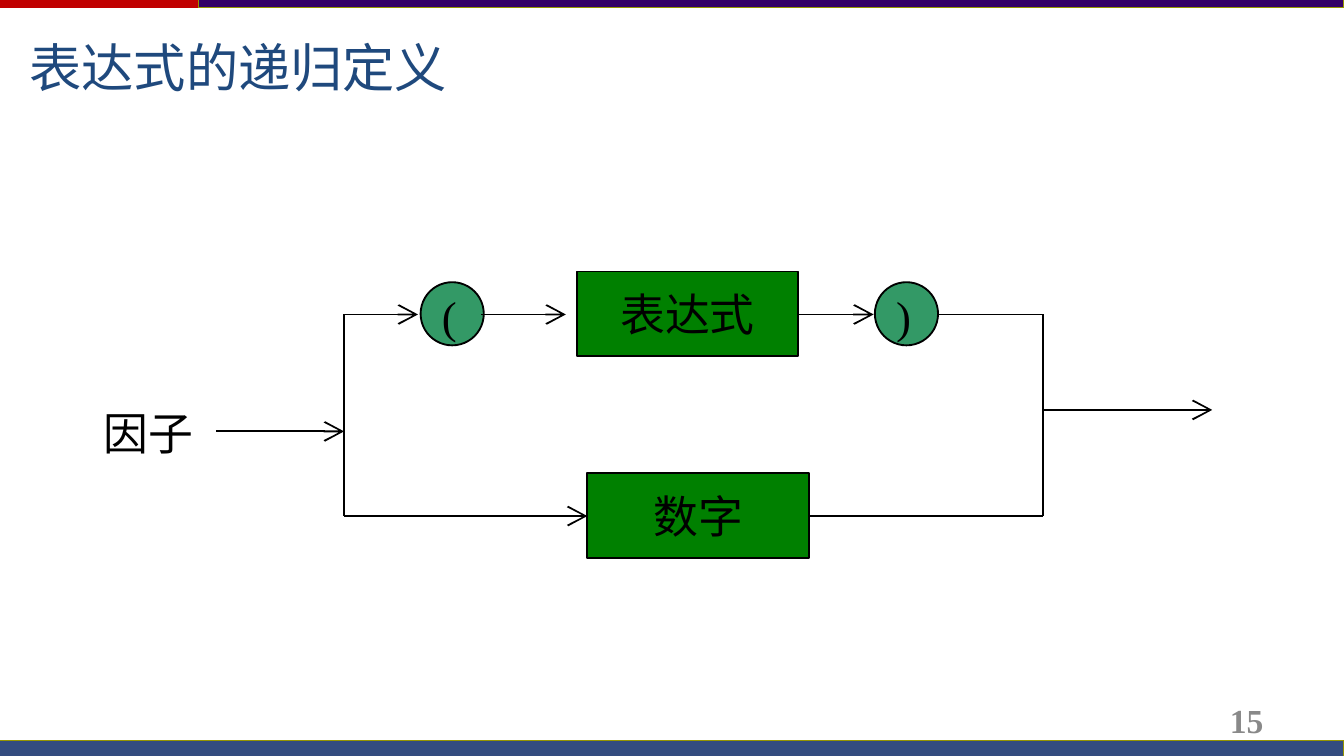
from pptx import Presentation
from pptx.dml.color import RGBColor
from pptx.enum.shapes import MSO_CONNECTOR, MSO_SHAPE
from pptx.enum.text import MSO_ANCHOR, PP_ALIGN
from pptx.oxml.ns import qn
from pptx.util import Inches, Pt
from lxml.etree import SubElement

BLACK = RGBColor(0x00, 0x00, 0x00)
RED = RGBColor(0xC0, 0x00, 0x00)
PURPLE = RGBColor(0x33, 0x00, 0x66)
NAVY = RGBColor(0x00, 0x20, 0x60)
OLIVE = RGBColor(0x95, 0x95, 0x00)
TITLE_BLUE = RGBColor(0x1F, 0x49, 0x7D)
GREEN = RGBColor(0x00, 0x80, 0x00)
SEA_GREEN = RGBColor(0x33, 0x99, 0x66)
GRAY = RGBColor(0x89, 0x89, 0x89)

presentation = Presentation()
presentation.slide_width = Inches(10)
presentation.slide_height = Inches(10) * 9 // 16
slide = presentation.slides.add_slide(presentation.slide_layouts[5])


def add_block(kind, left, top, width, height, fill, line, line_width):
    shape = slide.shapes.add_shape(
        kind, Inches(left), Inches(top), Inches(width), Inches(height))
    shape.shadow.inherit = False
    shape.fill.solid()
    shape.fill.fore_color.rgb = fill
    if line is None:
        shape.line.fill.background()
    else:
        shape.line.color.rgb = line
        shape._element.spPr.find(qn("a:ln")).set("w", str(Pt(line_width)))
    return shape


def write_text(shape, text, size, color, font_name="Times New Roman",
               alignment=PP_ALIGN.LEFT, anchor=MSO_ANCHOR.TOP, wrap=True):
    frame = shape.text_frame
    frame.text = text
    frame.word_wrap = wrap
    frame.vertical_anchor = anchor
    paragraph = frame.paragraphs[0]
    paragraph.alignment = alignment
    paragraph.font.name = font_name
    paragraph.font.size = Pt(size)
    paragraph.font.color.rgb = color
    return paragraph


add_block(MSO_SHAPE.RECTANGLE, 0, 0, 10, 0.06, RED, None, 0)
add_block(MSO_SHAPE.RECTANGLE, 1.48, 0, 8.52, 0.06, PURPLE, OLIVE, 0)
footer = add_block(MSO_SHAPE.RECTANGLE, 0, 5.51, 10, 0.12, NAVY, OLIVE, 0)
footer_color = footer._element.spPr.find(qn("a:solidFill"))[0]
SubElement(footer_color, qn("a:alpha"), val="80000")

title = slide.shapes.title
title.left, title.top = Inches(0.12), Inches(0.21)
title.width, title.height = Inches(8.7), Inches(0.57)
write_text(title, "表达式的递归定义", 28, TITLE_BLUE, "Arial")

page_number = slide.shapes.add_textbox(
    Inches(7.17), Inches(5.21), Inches(2.33), Inches(0.3))
paragraph = write_text(page_number, "15", 18, GRAY,
                       alignment=PP_ALIGN.RIGHT, anchor=MSO_ANCHOR.MIDDLE)
paragraph.font.bold = True

for left, top, text in [(4.29, 2.02, "表达式"), (4.37, 3.52, "数字")]:
    box = add_block(MSO_SHAPE.RECTANGLE, left, top, 1.65, 0.63, GREEN, BLACK, 1)
    write_text(box, text, 24, BLACK, alignment=PP_ALIGN.CENTER,
               anchor=MSO_ANCHOR.MIDDLE, wrap=False)

for left in (3.13, 6.51):
    add_block(MSO_SHAPE.OVAL, left, 2.1, 0.47, 0.47, SEA_GREEN, BLACK, 1)

for left, top, width, text in [
    (0.67, 2.97, 0.94, "因子"),
    (3.19, 2.1, 0.39, "("),
    (6.57, 2.1, 0.39, ")"),
]:
    label = slide.shapes.add_textbox(
        Inches(left), Inches(top), Inches(width), Inches(0.5))
    write_text(label, text, 24, BLACK)

split_x, merge_x = 2.56, 7.76
upper_y, lower_y = 2.34, 3.84
flow_lines = [
    (1.61, 3.21, split_x, 3.21, True),
    (split_x, upper_y, split_x, lower_y, False),
    (split_x, upper_y, 3.11, upper_y, True),
    (3.58, upper_y, 4.21, upper_y, True),
    (5.94, upper_y, 6.5, upper_y, True),
    (merge_x, upper_y, 6.97, upper_y, False),
    (split_x, lower_y, 4.37, lower_y, True),
    (merge_x, lower_y, 6.02, lower_y, False),
    (merge_x, upper_y, merge_x, lower_y, False),
    (merge_x, 3.05, 9.02, 3.05, True),
]
for start_x, start_y, end_x, end_y, has_arrow in flow_lines:
    connector = slide.shapes.add_connector(
        MSO_CONNECTOR.STRAIGHT, Inches(start_x), Inches(start_y),
        Inches(end_x), Inches(end_y))
    connector.line.color.rgb = BLACK
    connector.line.width = Pt(1)
    if has_arrow:
        outline = connector._element.spPr.find(qn("a:ln"))
        SubElement(outline, qn("a:tailEnd"), type="arrow", w="lg", len="lg")
    SubElement(connector._element.spPr, qn("a:effectLst"))

presentation.save("out.pptx")
